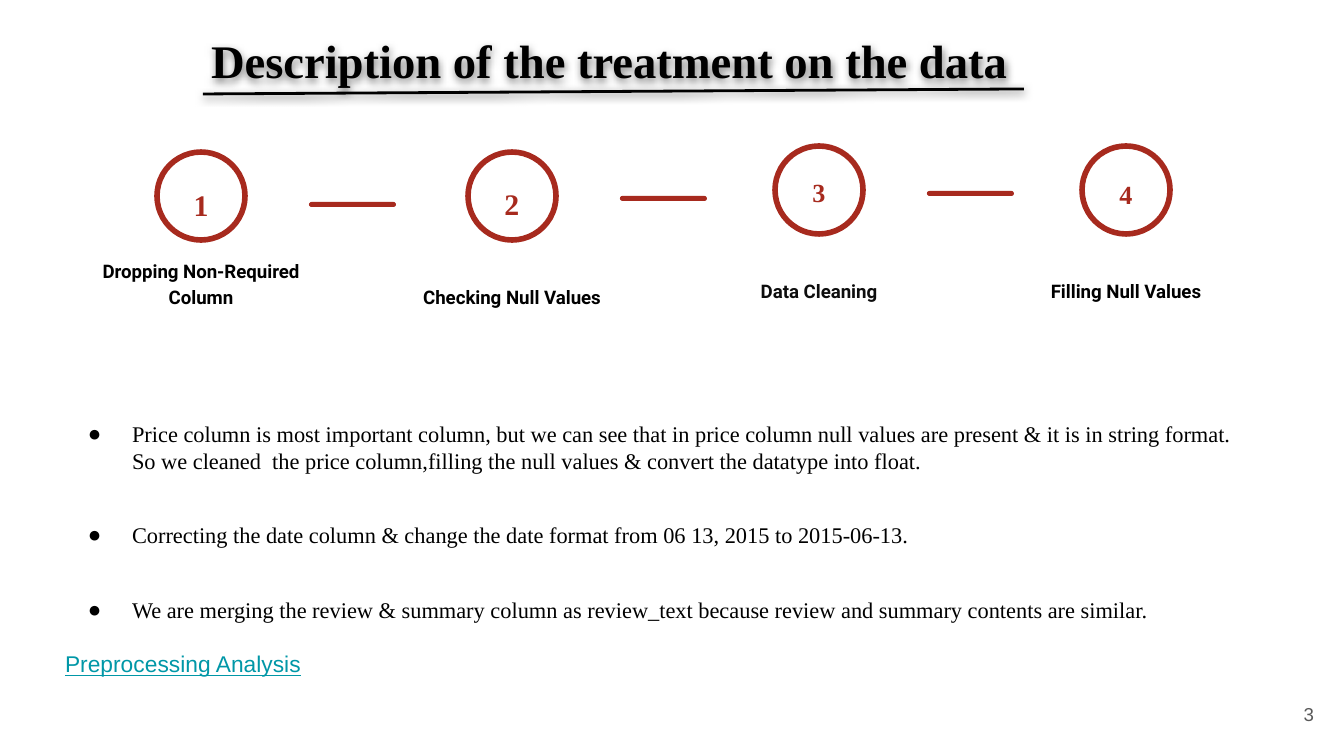
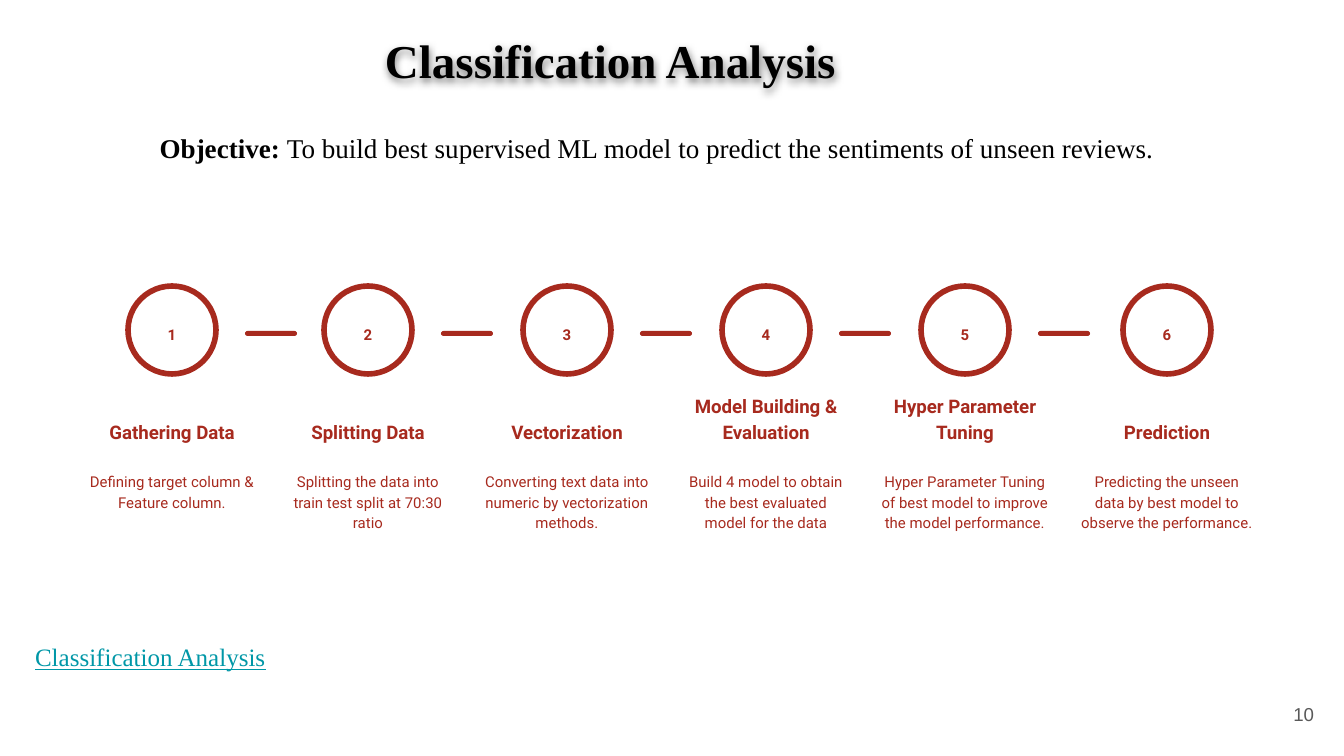
import lxml.etree
import pptx
import pptx.dml.color
import pptx.enum.shapes
import pptx.enum.text
import pptx.oxml.ns
import pptx.util

ALIGN = pptx.enum.text.PP_ALIGN
ANCHOR = pptx.enum.text.MSO_ANCHOR
SHAPE = pptx.enum.shapes.MSO_SHAPE

COLORS = {"text": "000000", "soft": "0D0D0D", "red": "A72A1E", "link": "0097A7",
          "number": "595959", "white": "FFFFFF"}
SERIF, SANS, LABEL = "Times New Roman", "Arial", "Roboto"
INSET = 13
CIRCLE = 88
DASH_HEIGHT = 5

# A paragraph holds its runs as (text, size, font, colour, styles).
SLIDES = [
    {
        "title": ("Description of the treatment on the data", 25),
        "title_box": (46, 13, 1253, 93), "title_indent": 152,
        "underline": (203, 94, 1024, 89),
        "body_box": (52, 368, 1210, 362), "body_top": 52,
        "body": [
            {"bullet": True, "runs": [(
                "Price column is most important column, but we can see that in price column "
                "null values are present & it is in string format. So we cleaned  the price "
                "column,filling the null values & convert the datatype into float.",
                12, SERIF, "text", "")]},
            {"bullet": True, "before": 25.5, "runs": [(
                "Correcting the date column & change the date format from 06 13, 2015 to "
                "2015-06-13.", 12, SERIF, "text", "")]},
            {"bullet": True, "before": 25.5, "runs": [(
                "We are merging the review & summary column as review_text because review and "
                "summary contents are similar.", 12, SERIF, "text", "")]},
            {"before": 14.5, "runs": [
                ("Preprocessing Analysis", 12.2, SANS, "link", "underline")]},
        ],
        "number_font": SERIF, "dash_offset": 108, "dash_width": 87, "label_offset": 103,
        # centre, circle top, number top, number size, dash top, label width, colour, label
        "steps": [
            (201, 152, 168, 16, 202, 251, "text", "Dropping Non-Required Column", ""),
            (512, 152, 167, 16, 196, 251, "text", "Checking Null Values", ""),
            (819, 146, 159, 14, 191, 251, "soft", "Data Cleaning", ""),
            (1126, 146, 161, 14, 191, 251, "text", "Filling Null Values", ""),
        ],
        "page": "3",
    },
    {
        "title": ("Classification Analysis", 25.2),
        "title_box": (30, 17, 1253, 85), "title_indent": 342,
        "body_box": (22, 117, 1269, 618), "body_top": INSET,
        "body": [
            {"align": ALIGN.CENTER, "spacing": 1.05, "runs": [
                ("Objective: ", 14.5, SERIF, "text", "bold"),
                ("To build best supervised ML model to predict the sentiments of unseen "
                 "reviews.", 14.5, SERIF, "text", "")]},
            {"before": 255, "spacing": 1.05, "runs": [
                ("Classification Analysis", 13.4, SERIF, "link", "underline")]},
        ],
        "number_font": LABEL, "dash_offset": 73, "dash_width": 52, "label_offset": 104,
        "steps": [
            (center, 286, 310, 8, 331, width, "red", label, detail)
            for center, width, label, detail in [
                (172, 192, "Gathering Data", "Defining target column & Feature column."),
                (368, 192, "Splitting Data",
                 "Splitting the data into train test split at 70:30 ratio"),
                (567, 200, "Vectorization",
                 "Converting text data into numeric by vectorization methods."),
                (766, 192, "Model Building & Evaluation",
                 "Build 4 model to obtain the best evaluated model for the data"),
                (965, 200, "Hyper Parameter Tuning",
                 "Hyper Parameter Tuning of best model to improve the model performance."),
                (1167, 200, "Prediction",
                 "Predicting the unseen data by best model to observe the performance."),
            ]
        ],
        "page": "10",
    },
]


def px(length):
    return pptx.util.Emu(round(length * 914400 / 134.4))


def color(name):
    return pptx.dml.color.RGBColor.from_string(COLORS[name])


def add_element(parent, tag, **attributes):
    return lxml.etree.SubElement(parent, pptx.oxml.ns.qn(tag), attributes)


def place(shape, box):
    shape.left, shape.top, shape.width, shape.height = map(px, box)


def add_soft_shadow(shape):
    effects = add_element(shape._element.spPr, "a:effectLst")
    shadow = add_element(effects, "a:outerShdw", blurRad="57150", dist="19050",
                         dir="5400000", algn="bl", rotWithShape="0")
    tint = add_element(shadow, "a:srgbClr", val=COLORS["text"])
    add_element(tint, "a:alpha", val="50000")


def set_up_frame(frame, anchor=ANCHOR.TOP, top=INSET):
    frame.word_wrap = True
    frame.auto_size = pptx.enum.text.MSO_AUTO_SIZE.NONE
    frame.vertical_anchor = anchor
    frame.margin_left = frame.margin_right = frame.margin_bottom = px(INSET)
    frame.margin_top = px(top)


def write(paragraph, runs, align=ALIGN.LEFT, spacing=1.0, before=0):
    paragraph.alignment = align
    paragraph.line_spacing = spacing
    paragraph.space_before = pptx.util.Pt(before)
    paragraph.space_after = pptx.util.Pt(0)
    for text, size, font, tone, style in runs:
        run = paragraph.add_run()
        run.text = text
        run.font.name = font
        run.font.size = pptx.util.Pt(size)
        run.font.bold = style == "bold"
        run.font.underline = style == "underline"
        run.font.color.rgb = color(tone)


def set_bullet(paragraph, bullet, left=0):
    """Indent a paragraph and switch its bullet on or off."""
    properties = paragraph._p.get_or_add_pPr()
    properties.set("marL", str(px(67 if bullet else left)))
    properties.set("indent", str(px(-44 if bullet else 0)))
    if bullet:
        tint = add_element(properties, "a:buClr")
        add_element(tint, "a:srgbClr", val=COLORS["text"])
        add_element(properties, "a:buFont", typeface=SANS)
        add_element(properties, "a:buChar", char="●")
    else:
        add_element(properties, "a:buNone")


def add_text(shapes, box, run, align=ALIGN.CENTER, anchor=ANCHOR.TOP, spacing=1.15):
    frame = shapes.add_textbox(*map(px, box)).text_frame
    set_up_frame(frame, anchor)
    write(frame.paragraphs[0], [run], align, spacing)


def add_title(slide, content):
    title = slide.shapes.title
    place(title, content["title_box"])
    set_up_frame(title.text_frame, ANCHOR.MIDDLE)
    paragraph = title.text_frame.paragraphs[0]
    set_bullet(paragraph, False, content["title_indent"])
    text, size = content["title"]
    write(paragraph, [(text, size, SERIF, "text", "bold")])
    add_soft_shadow(title)


def add_underline(slide, ends):
    line = slide.shapes.add_connector(pptx.enum.shapes.MSO_CONNECTOR.STRAIGHT, *map(px, ends))
    line.line.color.rgb = color("text")
    line.line.width = pptx.util.Pt(1.5)
    add_soft_shadow(line)


def add_body(slide, content):
    body = slide.placeholders[1]
    place(body, content["body_box"])
    frame = body.text_frame
    set_up_frame(frame, top=content["body_top"])
    for index, item in enumerate(content["body"]):
        paragraph = frame.add_paragraph() if index else frame.paragraphs[0]
        set_bullet(paragraph, item.get("bullet", False))
        write(paragraph, item["runs"], item.get("align", ALIGN.LEFT),
              item.get("spacing", 1.0), item.get("before", 0))


def add_dash(slide, left, top, width):
    dash = slide.shapes.add_shape(SHAPE.ROUNDED_RECTANGLE,
                                  *map(px, (left, top, width, DASH_HEIGHT)))
    dash.adjustments[0] = 0.5
    dash.shadow.inherit = False
    dash.fill.solid()
    dash.fill.fore_color.rgb = color("red")
    dash.line.fill.background()


def add_step(slide, content, number, step):
    """Draw one numbered circle with its label and optional detail as a group."""
    center, top, number_top, number_size, _, width, tone, label, detail = step
    shapes = slide.shapes.add_group_shape().shapes
    circle = shapes.add_shape(SHAPE.OVAL, *map(px, (center - CIRCLE / 2, top, CIRCLE, CIRCLE)))
    circle.shadow.inherit = False
    circle.fill.background()
    circle.line.color.rgb = color("red")
    circle.line.width = pptx.util.Pt(3)
    add_text(shapes, (center - 32, number_top, 64, 58),
             (str(number), number_size, content["number_font"], "red", "bold"))
    left, label_top = center - width / 2, top + content["label_offset"]
    add_text(shapes, (left, label_top, width, 66), (label, 10, LABEL, tone, "bold"),
             anchor=ANCHOR.BOTTOM)
    if detail:
        add_text(shapes, (left, label_top + 67, width, 109), (detail, 8, LABEL, tone, ""))


def add_flow(slide, content):
    steps = content["steps"]
    for number, step in enumerate(steps, 1):
        add_step(slide, content, number, step)
        if number < len(steps):
            add_dash(slide, step[0] + content["dash_offset"], step[4], content["dash_width"])


def main():
    presentation = pptx.Presentation()
    presentation.slide_width, presentation.slide_height = px(1344), px(756)
    for content in SLIDES:
        slide = presentation.slides.add_slide(presentation.slide_layouts[1])
        slide.background.fill.solid()
        slide.background.fill.fore_color.rgb = color("white")
        add_title(slide, content)
        add_body(slide, content)
        add_flow(slide, content)
        add_text(slide.shapes, (1246, 685, 81, 58), (content["page"], 10, SANS, "number", ""),
                 ALIGN.RIGHT, ANCHOR.MIDDLE, 1.0)
        if "underline" in content:
            add_underline(slide, content["underline"])
    presentation.save("out.pptx")


if __name__ == "__main__":
    main()
